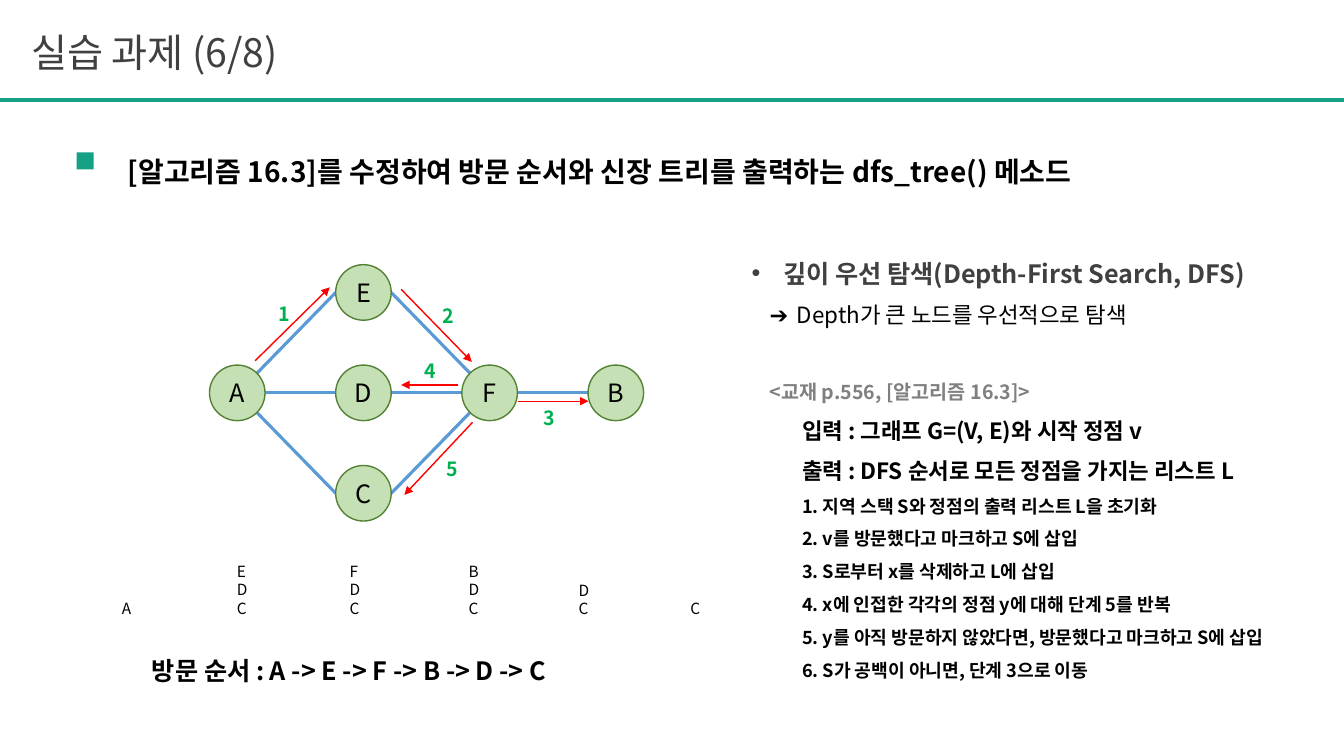
from dataclasses import dataclass
from math import cos, radians, sin

from lxml import etree
from pptx import Presentation
from pptx.dml.color import RGBColor
from pptx.enum.shapes import MSO_CONNECTOR, MSO_SHAPE
from pptx.enum.text import MSO_ANCHOR, MSO_AUTO_SIZE, PP_ALIGN
from pptx.oxml.ns import qn
from pptx.util import Cm, Pt

STRAIGHT = MSO_CONNECTOR.STRAIGHT
OVAL, RECTANGLE = MSO_SHAPE.OVAL, MSO_SHAPE.RECTANGLE
TOP, MIDDLE = MSO_ANCHOR.TOP, MSO_ANCHOR.MIDDLE
GROW = MSO_AUTO_SIZE.SHAPE_TO_FIT_TEXT
LEFT, CENTER, JUSTIFY = PP_ALIGN.LEFT, PP_ALIGN.CENTER, PP_ALIGN.JUSTIFY


@dataclass(frozen=True)
class Theme:
    font: str = "Noto Sans CJK KR"
    accent: str = "16A085"
    heading: str = "404040"
    text: str = "000000"
    muted: str = "808080"
    node_fill: str = "C5E0B4"
    node_line: str = "548235"
    edge: str = "5B9BD5"
    visit: str = "FF0000"
    visit_number: str = "00B050"
    title_size: float = 28
    headline_size: float = 20
    large_size: float = 18
    medium_size: float = 16
    small_size: float = 14
    step_size: float = 13
    stack_size: float = 11


class SlideBuilder:
    def __init__(self, slide, theme):
        self.slide = slide
        self.theme = theme

    def style(self, paragraph, size, color, bold=False, align=LEFT, spacing=1.0):
        paragraph.alignment = align
        paragraph.line_spacing = spacing
        paragraph.space_after = Pt(0)
        font = paragraph.font
        font.size, font.bold = Pt(size), bold
        font.color.rgb = RGBColor.from_string(color)
        font.name = self.theme.font
        properties = paragraph._p.pPr.find(qn("a:defRPr"))
        etree.SubElement(properties, qn("a:ea"), typeface=self.theme.font)

    def place(self, shape, left, top, width, height):
        shape.left, shape.top = Cm(left), Cm(top)
        shape.width, shape.height = Cm(width), Cm(height)

    def title(self, text, box):
        shape = self.slide.shapes.title
        self.place(shape, *box)
        frame = shape.text_frame
        frame.text = text
        frame.vertical_anchor, frame.auto_size = TOP, GROW
        self.style(frame.paragraphs[0], self.theme.title_size, self.theme.heading)

    def body(self, items, box):
        shape = self.slide.placeholders[1]
        self.place(shape, *box)
        frame = shape.text_frame
        frame.vertical_anchor, frame.auto_size = TOP, GROW
        for index, item in enumerate(items):
            text, size, color, bold, spacing, level, margin, indent, before, bullet = item
            paragraph = frame.paragraphs[0] if index == 0 else frame.add_paragraph()
            paragraph.text, paragraph.level = text, level
            paragraph.space_before = Pt(before)
            properties = paragraph._p.get_or_add_pPr()
            properties.set("marL", str(Cm(margin)))
            properties.set("indent", str(Cm(indent)))
            if bullet:
                etree.SubElement(properties, qn("a:buFont"), typeface="Arial")
                etree.SubElement(properties, qn("a:buChar"), char=bullet)
            else:
                etree.SubElement(properties, qn("a:buNone"))
            self.style(paragraph, size, color, bold, spacing=spacing)

    def text(self, lines, box, size, color, bold=False, wrap=False, **options):
        frame = self.slide.shapes.add_textbox(*map(Cm, box)).text_frame
        frame.word_wrap, frame.auto_size = wrap, GROW
        frame.text = "\n".join(lines)
        for paragraph in frame.paragraphs:
            self.style(paragraph, size, color, bold, **options)

    def shape(self, kind, box, fill, line=None):
        shape = self.slide.shapes.add_shape(kind, *map(Cm, box))
        shape.shadow.inherit = False
        shape.fill.solid()
        shape.fill.fore_color.rgb = RGBColor.from_string(fill)
        if line:
            shape.line.color.rgb = RGBColor.from_string(line)
            shape.line.width = Pt(1)
        else:
            shape.line.fill.background()
        return shape

    def node(self, label, center, diameter):
        x, y = center
        box = (x - diameter / 2, y - diameter / 2, diameter, diameter)
        shape = self.shape(OVAL, box, self.theme.node_fill, self.theme.node_line)
        frame = shape.text_frame
        frame.text, frame.vertical_anchor = label, MIDDLE
        self.style(frame.paragraphs[0], self.theme.large_size, self.theme.text, align=CENTER)

    def line(self, start, end, color, width, arrow=False):
        connector = self.slide.shapes.add_connector(STRAIGHT, *map(Cm, (*start, *end)))
        connector.line.color.rgb = RGBColor.from_string(color)
        connector.line.width = Pt(width)
        properties = connector._element.spPr
        if arrow:
            etree.SubElement(properties.find(qn("a:ln")), qn("a:tailEnd"), type="triangle")
        etree.SubElement(properties, qn("a:effectLst"))


def rim(center, diameter, angle):
    """Point on a node's rim, with angles counted clockwise from the right."""
    x, y = center
    turn = radians(angle)
    return x + diameter / 2 * cos(turn), y + diameter / 2 * sin(turn)


def main():
    presentation = Presentation()
    presentation.slide_width, presentation.slide_height = Cm(33.87), Cm(19.05)
    theme = Theme()
    builder = SlideBuilder(presentation.slides.add_slide(presentation.slide_layouts[1]), theme)

    # Heading
    builder.line((0, 2.52), (33.87, 2.52), theme.accent, 3)
    builder.title("실습 과제 (6/8)", (0.53, 0.58, 25.78, 1.45))
    builder.text(["[알고리즘 16.3]를 수정하여 방문 순서와 신장 트리를 출력하는 dfs_tree() 메소드"],
                 (2.97, 2.92, 30.23, 1.96), theme.headline_size, theme.text, True,
                 wrap=True, align=JUSTIFY, spacing=2.0)
    builder.shape(RECTANGLE, (1.93, 3.84, 0.43, 0.43), theme.accent)

    # Algorithm: text, size, colour, bold, spacing, level, margin, indent, before, bullet
    items = [
        ("깊이 우선 탐색(Depth-First Search, DFS)", theme.large_size, theme.heading,
         True, 2.0, 0, 0.79, -0.79, 0, "•"),
        ("➔\tDepth가 큰 노드를 우선적으로 탐색", theme.medium_size, theme.text,
         False, 1.5, 0, 1.14, -0.69, 0, None),
        ("<교재 p.556, [알고리즘 16.3]>", theme.small_size, theme.muted,
         True, 2.0, 0, 0.45, 0, 20, None),
    ]
    outline = [
        ("입력 : 그래프 G=(V, E)와 시작 정점 v", theme.medium_size),
        ("출력 : DFS 순서로 모든 정점을 가지는 리스트 L", theme.medium_size),
        ("1. 지역 스택 S와 정점의 출력 리스트 L을 초기화", theme.step_size),
        ("2. v를 방문했다고 마크하고 S에 삽입", theme.step_size),
        ("3. S로부터 x를 삭제하고 L에 삽입", theme.step_size),
        ("4. x에 인접한 각각의 정점 y에 대해 단계 5를 반복", theme.step_size),
        ("5. y를 아직 방문하지 않았다면, 방문했다고 마크하고 S에 삽입", theme.step_size),
        ("6. S가 공백이 아니면, 단계 3으로 이동", theme.step_size),
    ]
    items += [(text, size, theme.text, True, 1.5, 1, 1.27, 0, 0, None) for text, size in outline]
    builder.body(items, (18.69, 5.61, 14.86, 11.79))

    # Graph
    diameter = 1.4
    grid = {"A": (0, 0), "E": (1, -1), "D": (1, 0), "C": (1, 1), "F": (2, 0), "B": (3, 0)}
    centers = {name: (5.98 + 3.18 * column, 9.9 + 2.53 * row)
               for name, (column, row) in grid.items()}
    edges = [("A", -45, "E", 180), ("A", 0, "D", 180), ("A", 45, "C", 180),
             ("F", -135, "E", 0), ("F", 180, "D", 0), ("F", 135, "C", 0), ("F", 0, "B", 180)]
    for start, start_angle, end, end_angle in edges:
        builder.line(rim(centers[start], diameter, start_angle),
                     rim(centers[end], diameter, end_angle), theme.edge, 2.25)
    for name, center in centers.items():
        builder.node(name, center, diameter)

    # Visits: arrow start, arrow end, number position
    visits = [((6.43, 9.09), (8.31, 7.24), (6.76, 7.49)),
              ((10.11, 7.29), (11.89, 9.12), (10.9, 7.54)),
              ((13.06, 10.11), (14.83, 10.11), (13.46, 10.11)),
              ((11.53, 9.7), (10.11, 9.7), (10.44, 8.92)),
              ((11.91, 10.64), (10.19, 12.47), (11, 11.4))]
    for number, (start, end, position) in enumerate(visits, 1):
        builder.line(start, end, theme.visit, 1, arrow=True)
        builder.text([str(number)], (*position, 0.76, 0.81), theme.small_size,
                     theme.visit_number, True)

    # Stack states, aligned at the bottom
    stacks = [(2.82, "A"), (5.72, "EDC"), (8.56, "FDC"), (11.56, "BDC"), (14.33, "DC"),
              (17.15, "C")]
    for left, letters in stacks:
        height = 0.73 + 0.47 * (len(letters) - 1)
        builder.text(letters, (left, 15.71 - height, 0.78, height), theme.stack_size, theme.text)
    builder.text(["방문 순서 : A -> E -> F -> B -> D -> C"], (3.58, 16.38, 12.29, 1.02),
                 theme.large_size, theme.text, True)

    presentation.save("out.pptx")


if __name__ == "__main__":
    main()
